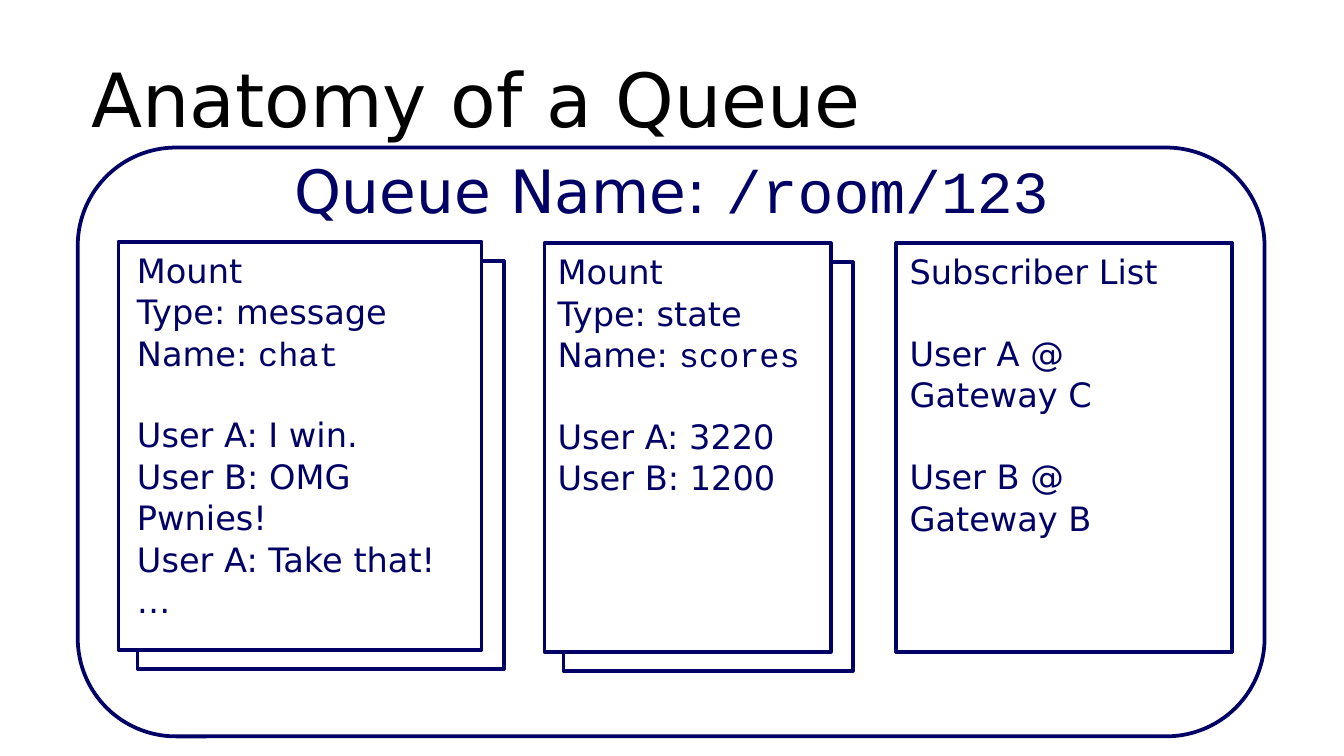
import pptx
import pptx.dml.color
import pptx.enum.shapes
import pptx.enum.text
import pptx.util

Cm, Pt = pptx.util.Cm, pptx.util.Pt
RGBColor = pptx.dml.color.RGBColor
SHAPES = pptx.enum.shapes.MSO_SHAPE
ALIGN = pptx.enum.text.PP_ALIGN
ANCHOR = pptx.enum.text.MSO_ANCHOR

NAVY = RGBColor(0x00, 0x00, 0x66)
BLACK = RGBColor(0x00, 0x00, 0x00)
WHITE = RGBColor(0xFF, 0xFF, 0xFF)
SANS, MONO = "DejaVu Sans", "Courier New"

# Content: a block is a group of lines, a line is a list of (text, font) runs
TITLE = "Anatomy of a Queue"
QUEUE_NAME = [("Queue Name: ", SANS), ("/room/123", MONO)]
MESSAGE_BLOCKS = [
    [[("Mount", SANS)], [("Type: message", SANS)], [("Name: ", SANS), ("chat", MONO)]],
    [[("User A: I win.", SANS)], [("User B: OMG Pwnies!", SANS)],
     [("User A: Take that!", SANS)], [("…", SANS)]],
]
STATE_BLOCKS = [
    [[("Mount", SANS)], [("Type: state", SANS)], [("Name: ", SANS), ("scores", MONO)]],
    [[("User A: 3220", SANS)], [("User B: 1200", SANS)]],
]
SUBSCRIBER_BLOCKS = [
    [[("Subscriber List", SANS)]],
    [[("User A @ Gateway C", SANS)]],
    [[("User B @ Gateway B", SANS)]],
]

# Layout in centimetres
QUEUE_LEFT, QUEUE_WIDTH = 1.47, 22.43
CARD_HEIGHT = 7.72
STACK_OFFSET, STACK_EXTRA = 0.36, 0.06
LINE_PITCH = 21.6  # points
CARDS = [
    dict(left=2.24, top=4.57, width=6.86, text_left=2.34, text_width=6.93,
         text_height=7.19, stacked=True, blocks=MESSAGE_BLOCKS),
    dict(left=10.29, top=4.6, width=5.41, text_left=10.29, text_width=5.41,
         text_height=4.88, stacked=True, blocks=STATE_BLOCKS),
    dict(left=16.94, top=4.6, width=6.35, text_left=16.94, text_width=6.35,
         text_height=5.64, stacked=False, blocks=SUBSCRIBER_BLOCKS),
]


def add_outline(slide, preset, left, top, width, height):
    outline = slide.shapes.add_shape(preset, Cm(left), Cm(top), Cm(width), Cm(height))
    outline.shadow.inherit = False
    outline.fill.solid()
    outline.fill.fore_color.rgb = WHITE
    outline.line.color.rgb = NAVY
    outline.line.width = Pt(2)


def add_runs(paragraph, runs, size, color):
    for text, font in runs:
        run = paragraph.add_run()
        run.text = text
        run.font.name = font
        run.font.size = Pt(size)
        run.font.color.rgb = color


def add_text_frame(slide, left, top, width, height):
    frame = slide.shapes.add_textbox(Cm(left), Cm(top), Cm(width), Cm(height)).text_frame
    frame.word_wrap = True
    return frame


def add_card(slide, card):
    left, top, width = card["left"], card["top"], card["width"]
    if card["stacked"]:
        add_outline(slide, SHAPES.RECTANGLE, left + STACK_OFFSET, top + STACK_OFFSET,
                    width + STACK_EXTRA, CARD_HEIGHT)
    add_outline(slide, SHAPES.RECTANGLE, left, top, width, CARD_HEIGHT)

    frame = add_text_frame(slide, card["text_left"], top, card["text_width"],
                           card["text_height"])
    paragraph = None
    for block in card["blocks"]:
        for index, runs in enumerate(block):
            first = paragraph is None
            paragraph = frame.paragraphs[0] if first else frame.add_paragraph()
            paragraph.line_spacing = 1.03
            # One line of space opens every block after the first
            if index == 0 and not first:
                paragraph.space_before = Pt(LINE_PITCH)
            add_runs(paragraph, runs, 18, NAVY)


def main():
    deck = pptx.Presentation()
    deck.slide_width, deck.slide_height = Cm(25.4), Cm(14.29)
    slide = deck.slides.add_slide(deck.slide_layouts[5])

    # Title
    title = slide.shapes.title
    title.left, title.top = Cm(QUEUE_LEFT), Cm(0.58)
    title.width, title.height = Cm(QUEUE_WIDTH), Cm(2.54)
    title.text_frame.vertical_anchor = ANCHOR.MIDDLE
    heading = title.text_frame.paragraphs[0]
    heading.alignment = ALIGN.LEFT
    add_runs(heading, [(TITLE, SANS)], 40, BLACK)

    # Queue frame and name
    add_outline(slide, SHAPES.ROUNDED_RECTANGLE, QUEUE_LEFT, 2.79, QUEUE_WIDTH, 11.13)
    queue_name = add_text_frame(slide, 3.81, 2.79, 17.78, 1.63).paragraphs[0]
    queue_name.alignment = ALIGN.CENTER
    add_runs(queue_name, QUEUE_NAME, 32, NAVY)

    # Mounts and subscriber list
    for card in CARDS:
        add_card(slide, card)

    deck.save("out.pptx")


if __name__ == "__main__":
    main()
